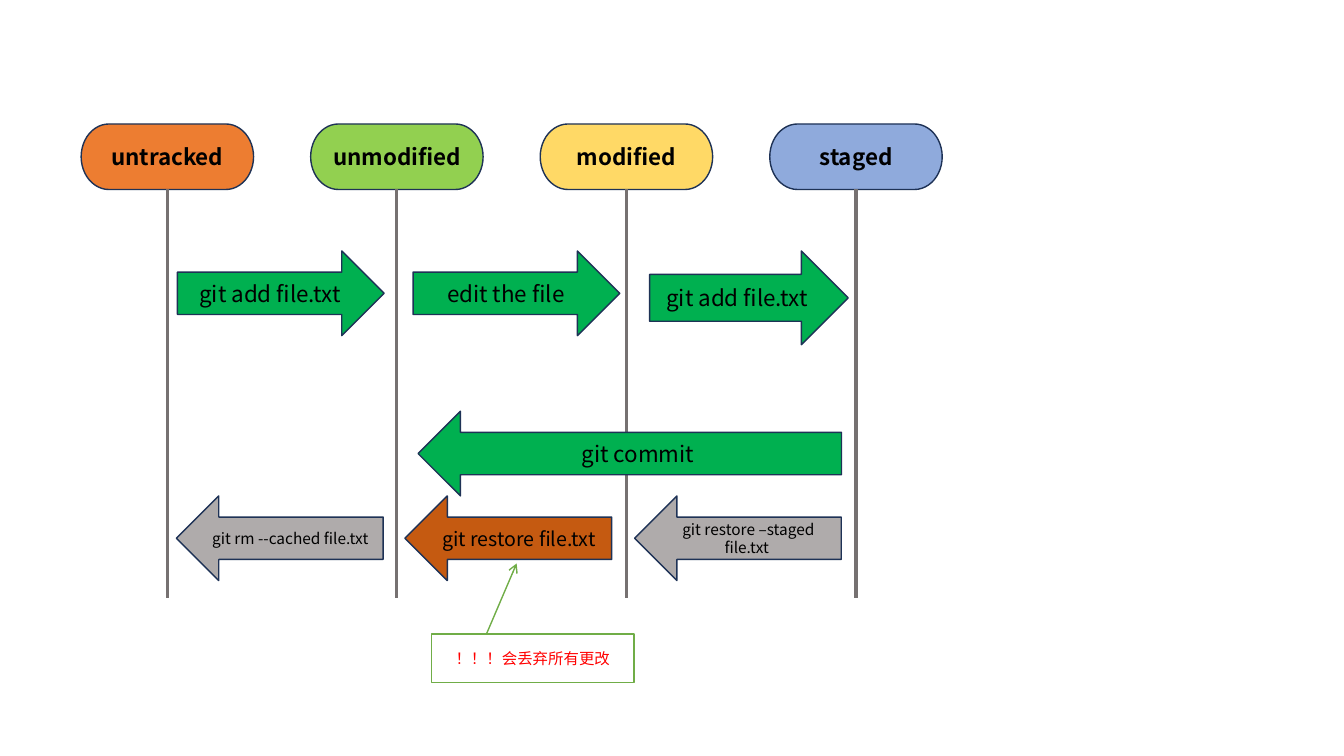
from lxml.etree import SubElement
from pptx import Presentation
from pptx.dml.color import RGBColor
from pptx.enum.shapes import MSO_CONNECTOR, MSO_SHAPE
from pptx.enum.text import MSO_ANCHOR, PP_ALIGN
from pptx.oxml.ns import qn
from pptx.util import Inches, Pt

FONT = "Noto Sans CJK SC"
BLACK = RGBColor(0x00, 0x00, 0x00)
WHITE = RGBColor(0xFF, 0xFF, 0xFF)
RED = RGBColor(0xFF, 0x00, 0x00)
NAVY = RGBColor(0x1E, 0x32, 0x56)
GRAY = RGBColor(0x76, 0x71, 0x71)
SILVER = RGBColor(0xAF, 0xAB, 0xAB)
ORANGE = RGBColor(0xED, 0x7D, 0x31)
LIME = RGBColor(0x92, 0xD0, 0x50)
YELLOW = RGBColor(0xFF, 0xD9, 0x66)
BLUE = RGBColor(0x8F, 0xAA, 0xDC)
GREEN = RGBColor(0x00, 0xB0, 0x50)
RUST = RGBColor(0xC5, 0x5A, 0x11)
LEAF = RGBColor(0x70, 0xAD, 0x47)

STATES = [("untracked", ORANGE), ("unmodified", LIME),
          ("modified", YELLOW), ("staged", BLUE)]
RIGHT, LEFT = MSO_SHAPE.RIGHT_ARROW, MSO_SHAPE.LEFT_ARROW
# text, shape, lane to its left, gap from that lane, top, width, height, fill, size
STEPS = [
    ("git add file.txt", RIGHT, 0, 0.1, 2.49, 2.05, 0.84, GREEN, 16),
    ("edit the file", RIGHT, 1, 0.16, 2.49, 2.05, 0.84, GREEN, 16),
    ("git add file.txt", RIGHT, 2, 0.23, 2.49, 1.97, 0.93, GREEN, 16),
    ("git rm --cached file.txt", LEFT, 0, 0.09, 4.92, 2.05, 0.84, SILVER, 11),
    ("git commit ", LEFT, 1, 0.21, 4.08, 4.2, 0.84, GREEN, 16),
    ("git restore file.txt", LEFT, 1, 0.08, 4.92, 2.05, 0.84, RUST, 14),
    ("git restore –staged file.txt ", LEFT, 2, 0.08, 4.92, 2.05, 0.84, SILVER, 11),
]
WARNING = "！！！会丢弃所有更改"
POINTER = (0.01, 0.27, -1.46, 0.42)  # start y, x and tip y, x as shares of the box

LANE_X, LANE_GAP, LANE_END = 1.66, 6.83 / 3, 5.93
PILL_TOP, PILL_W, PILL_H = 1.23, 1.71, 0.65

deck = Presentation()
deck.slide_width, deck.slide_height = Inches(13.33), Inches(7.5)
slide = deck.slides.add_slide(deck.slide_layouts[6])


def lane(i):
    return LANE_X + i * LANE_GAP


def write(shape, text, size=16, color=BLACK, bold=False):
    frame = shape.text_frame
    frame.word_wrap = True
    frame.vertical_anchor = MSO_ANCHOR.MIDDLE
    para = frame.paragraphs[0]
    para.alignment = PP_ALIGN.CENTER
    run = para.add_run()
    run.text = text
    font = run.font
    font.name, font.size, font.bold = FONT, Pt(size), bold
    font.color.rgb = color
    SubElement(font._element, qn("a:ea"), typeface=FONT)


def draw(kind, box, fill, line=NAVY):
    shape = slide.shapes.add_shape(kind, *map(Inches, box))
    shape.shadow.inherit = False
    shape.fill.solid()
    shape.fill.fore_color.rgb = fill
    shape.line.color.rgb = line
    shape.line.width = Pt(1)
    return shape


for i, (name, fill) in enumerate(STATES):
    x = lane(i)
    pill = draw(MSO_SHAPE.FLOWCHART_TERMINATOR,
                (x - PILL_W / 2, PILL_TOP, PILL_W, PILL_H), fill)
    write(pill, name, bold=True)
    stem = slide.shapes.add_connector(
        MSO_CONNECTOR.STRAIGHT, Inches(x), Inches(PILL_TOP + PILL_H),
        Inches(x), Inches(LANE_END))
    stem.begin_connect(pill, 2)
    stem.end_x = stem.begin_x
    stem.line.color.rgb = GRAY
    stem.line.width = Pt(2.25)
    SubElement(stem._element.spPr, qn("a:effectLst"))

for text, kind, i, gap, top, wide, high, fill, size in STEPS:
    arrow = draw(kind, (lane(i) + gap, top, wide, high), fill)
    write(arrow, text, size=size)

note = draw(MSO_SHAPE.LINE_CALLOUT_1, (4.28, 6.29, 2.01, 0.48), WHITE, LEAF)
for i, share in enumerate(POINTER):
    note.adjustments[i] = share
SubElement(note.line._get_or_add_ln(), qn("a:tailEnd"), type="arrow")
write(note, WARNING, size=11, color=RED)

deck.save("out.pptx")
